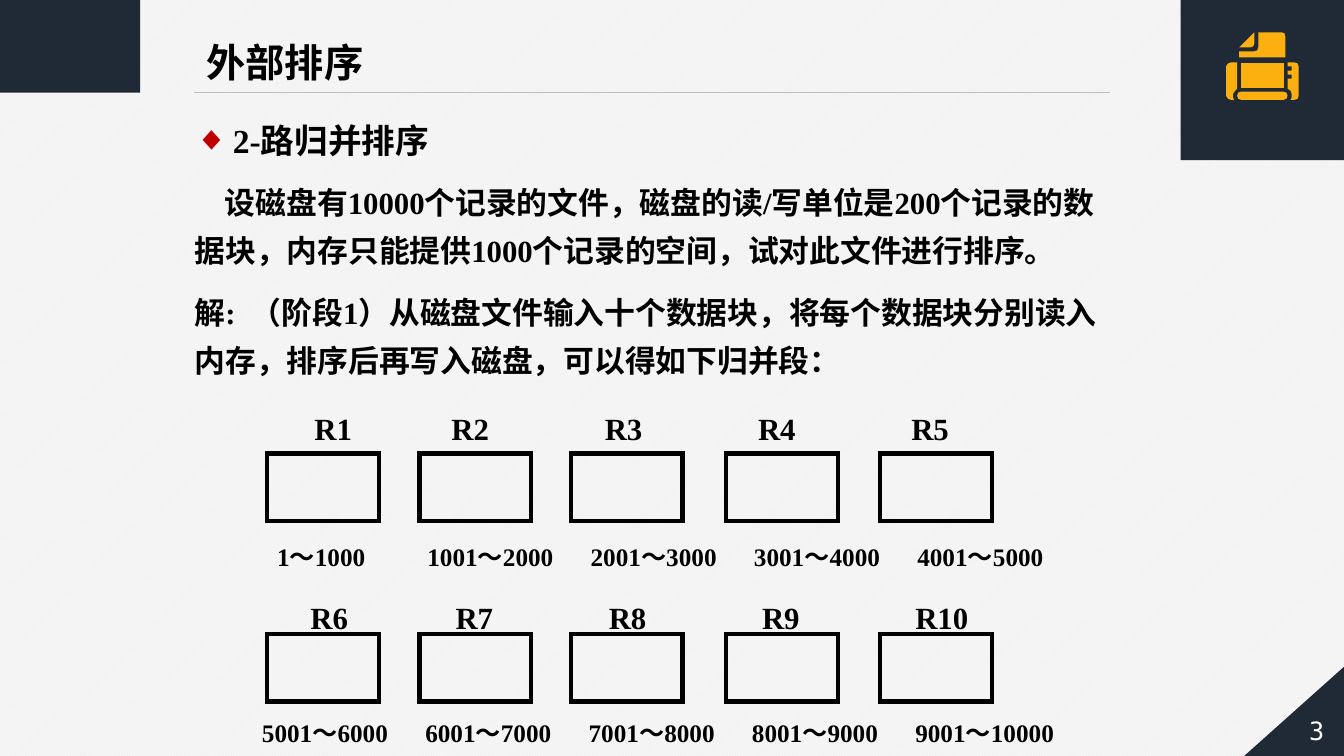
from dataclasses import dataclass

from lxml.etree import SubElement
from pptx import Presentation
from pptx.dml.color import RGBColor
from pptx.enum.dml import MSO_PATTERN as Pattern
from pptx.enum.lang import MSO_LANGUAGE_ID as Lang
from pptx.enum.shapes import MSO_CONNECTOR as Link, MSO_SHAPE as Kind
from pptx.enum.text import MSO_ANCHOR as Anchor, MSO_AUTO_SIZE as Fit, PP_ALIGN as Align
from pptx.oxml.ns import qn
from pptx.util import Inches, Pt

NAVY, GOLD, RED, BLACK, WHITE = "202A36", "FCB00F", "C00000", "000000", "FFFFFF"
SERIF = "Times New Roman"
LEFTS = (2.65, 4.16, 5.66, 7.2, 8.73)


@dataclass
class Row:
    """Five labels: the second stands `first` after the first, then equal steps."""
    left: float
    top: float
    high: float
    size: int
    first: float
    step: float
    words: tuple[str, ...]


ROWS = (
    Row(3.02, 3.91, 0.58, 22, 1.36, 1.52, ("R1", "R2", "R3", "R4", "R5")),
    Row(2.65, 5.23, 0.49, 18, 1.49, 1.62,
        ("1～1000", "1001～2000", "2001～3000", "3001～4000", "4001～5000")),
    Row(2.98, 5.78, 0.58, 22, 1.44, 1.52, ("R6", "R7", "R8", "R9", "R10")),
    Row(2.5, 6.98, 0.49, 18, 1.62, 1.62,
        ("5001～6000", "6001～7000", "7001～8000", "8001～9000", "9001～10000")),
)

# Printer icon outlines, in hundredths of an inch
ICON = (
    ((1221, 62), (1227, 62), (1227, 88), (1225, 90), (1223, 93), (1223, 97),
     (1224, 99), (1221, 99), (1217.5, 98), (1216, 95), (1216, 66), (1217.5, 63)),
    ((1228, 92.5), (1231, 91), (1273, 91), (1276, 92.5), (1277, 95),
     (1276, 97.5), (1273, 99), (1231, 99), (1228, 97.5), (1227, 95)),
    ((1277, 88), (1277, 78), (1281, 78), (1281, 74), (1277, 74), (1277, 70),
     (1281, 70), (1281, 66), (1277, 66), (1277, 62), (1284, 62), (1287, 63),
     (1288, 66), (1288, 95), (1287, 98), (1284, 99), (1280, 99), (1281, 97),
     (1281, 93), (1280, 90)),
    ((1229, 47), (1244, 32), (1244, 43), (1243, 46), (1240, 47)),
    ((1229, 51), (1244, 51), (1247, 50), (1248, 47), (1248, 32), (1271, 32),
     (1274, 33), (1275, 37), (1275, 57), (1229, 57)),
    ((1231, 62), (1273, 62), (1273, 87), (1231, 87)),
)


def tint(code: str) -> RGBColor:
    return RGBColor.from_string(code)


def place(shape, left: float, top: float, wide: float, high: float) -> None:
    shape.left, shape.top = Inches(left), Inches(top)
    shape.width, shape.height = Inches(wide), Inches(high)


def paint(shape, fill: str | None = None, line: str | None = None) -> None:
    shape.shadow.inherit = False
    if fill:
        shape.fill.solid()
        shape.fill.fore_color.rgb = tint(fill)
    else:
        shape.fill.background()
    if line:
        shape.line.color.rgb = tint(line)
        shape.line.width = Pt(3)
        SubElement(shape._element.spPr.find(qn("a:ln")), qn("a:miter")).set("lim", "800000")
    else:
        shape.line.fill.background()


def block(slide, kind: Kind, at: tuple, fill: str | None = None,
          line: str | None = None, flip: bool = False):
    shape = slide.shapes.add_shape(kind, *map(Inches, at))
    paint(shape, fill, line)
    if flip:
        shape._element.spPr.find(qn("a:xfrm")).set("flipH", "1")
    return shape


def write(para, *texts: str, size: int, color: str = BLACK, font: str = SERIF,
          bold: bool = True, align: Align = Align.LEFT, lead: float = 1.3,
          before: int = 0, after: int = 0, margin: float = 0, indent: float = 0,
          bullet: str = "", gap: float = 0) -> None:
    """Write each text as a run; gap widens a run that is a single space."""
    para.alignment, para.line_spacing = align, lead
    para.space_before, para.space_after = Pt(before), Pt(after)
    props = para._p.get_or_add_pPr()
    props.set("marL", str(Inches(margin)))
    props.set("indent", str(Inches(indent)))
    if bullet:
        SubElement(SubElement(props, qn("a:buClr")), qn("a:srgbClr")).set("val", RED)
        SubElement(props, qn("a:buChar")).set("char", bullet)
    else:
        SubElement(props, qn("a:buNone"))
    for text in texts:
        run = para.add_run()
        run.text = text
        face = run.font
        face.size, face.bold, face.name = Pt(size), bold, font
        face.color.rgb = tint(color)
        face.language_id = Lang.SIMPLIFIED_CHINESE
        if text == " ":
            run._r.get_or_add_rPr().set("spc", str(round(gap * 100)))


def frame(shape, anchor: Anchor = Anchor.TOP, wrap: bool = True):
    body = shape.text_frame
    body.auto_size, body.vertical_anchor, body.word_wrap = Fit.NONE, anchor, wrap
    return body


def decor(slide) -> None:
    fill = slide.background.fill
    fill.patterned()
    fill.pattern = Pattern.LIGHT_UPWARD_DIAGONAL
    fill.fore_color.rgb, fill.back_color.rgb = tint(WHITE), tint("F2F2F2")
    block(slide, Kind.RECTANGLE, (0, 0, 1.39, 0.92), NAVY)
    rule = slide.shapes.add_connector(
        Link.STRAIGHT, Inches(1.92), Inches(0.92), Inches(11.01), Inches(0.92))
    rule.line.color.rgb, rule.line.width = tint("BFBFBF"), Pt(0.5)
    SubElement(rule._element.spPr, qn("a:effectLst"))
    block(slide, Kind.RIGHT_TRIANGLE, (12.33, 6.58, 1.04, 0.93), NAVY, flip=True)
    page = block(slide, Kind.PENTAGON, (12.45, 6.97, 1.08, 0.55), flip=True)
    write(frame(page, Anchor.MIDDLE).paragraphs[0], "3", size=18, color=WHITE,
          font="DejaVu Sans Mono", bold=False, align=Align.CENTER, lead=1.0)


def icon(slide) -> None:
    block(slide, Kind.RECTANGLE, (11.71, -0.03, 1.63, 1.62), NAVY)
    for start, *rest in ICON:
        path = slide.shapes.build_freeform(*start, scale=Inches(0.01))
        path.add_line_segments(rest, close=True)
        paint(path.convert_to_shape(), GOLD)


def prose(slide) -> None:
    title, body = slide.placeholders
    place(title, 1.95, 0.19, 1.77, 0.65)
    write(frame(title, wrap=False).paragraphs[0], "外部排序", size=28)
    place(body, 1.83, 1.02, 9.4, 2.82)
    text = frame(body)
    write(text.paragraphs[0], "2-路归并排序", size=24, after=9,
          margin=0.38, indent=-0.38, bullet="◆")
    write(text.add_paragraph(),
          "设磁盘有10000个记录的文件，磁盘的读/写单位是200个记录的数据块，"
          "内存只能提供1000个记录的空间，试对此文件进行排序。", size=22, indent=0.3)
    write(text.add_paragraph(), "解:", " ",
          "（阶段1）从磁盘文件输入十个数据块，将每个数据块分别读入内存，"
          "排序后再写入磁盘，可以得如下归并段：", size=22, before=10, gap=5.5)


def runs(slide) -> None:
    for row in ROWS:
        for n, word in enumerate(row.words):
            left = row.left + (row.first + (n - 1) * row.step if n else 0)
            box = slide.shapes.add_textbox(
                *map(Inches, (left, row.top, 1.7, row.high)))
            write(frame(box).paragraphs[0], word, size=row.size)
    for top in (4.5, 6.29):
        for left in LEFTS:
            block(slide, Kind.RECTANGLE, (left, top, 1.11, 0.67), line=BLACK)


def main() -> None:
    deck = Presentation()
    deck.slide_width, deck.slide_height = Inches(13.33), Inches(7.5)
    slide = deck.slides.add_slide(deck.slide_layouts[1])
    decor(slide)
    prose(slide)
    icon(slide)
    runs(slide)
    deck.save("out.pptx")


if __name__ == "__main__":
    main()
